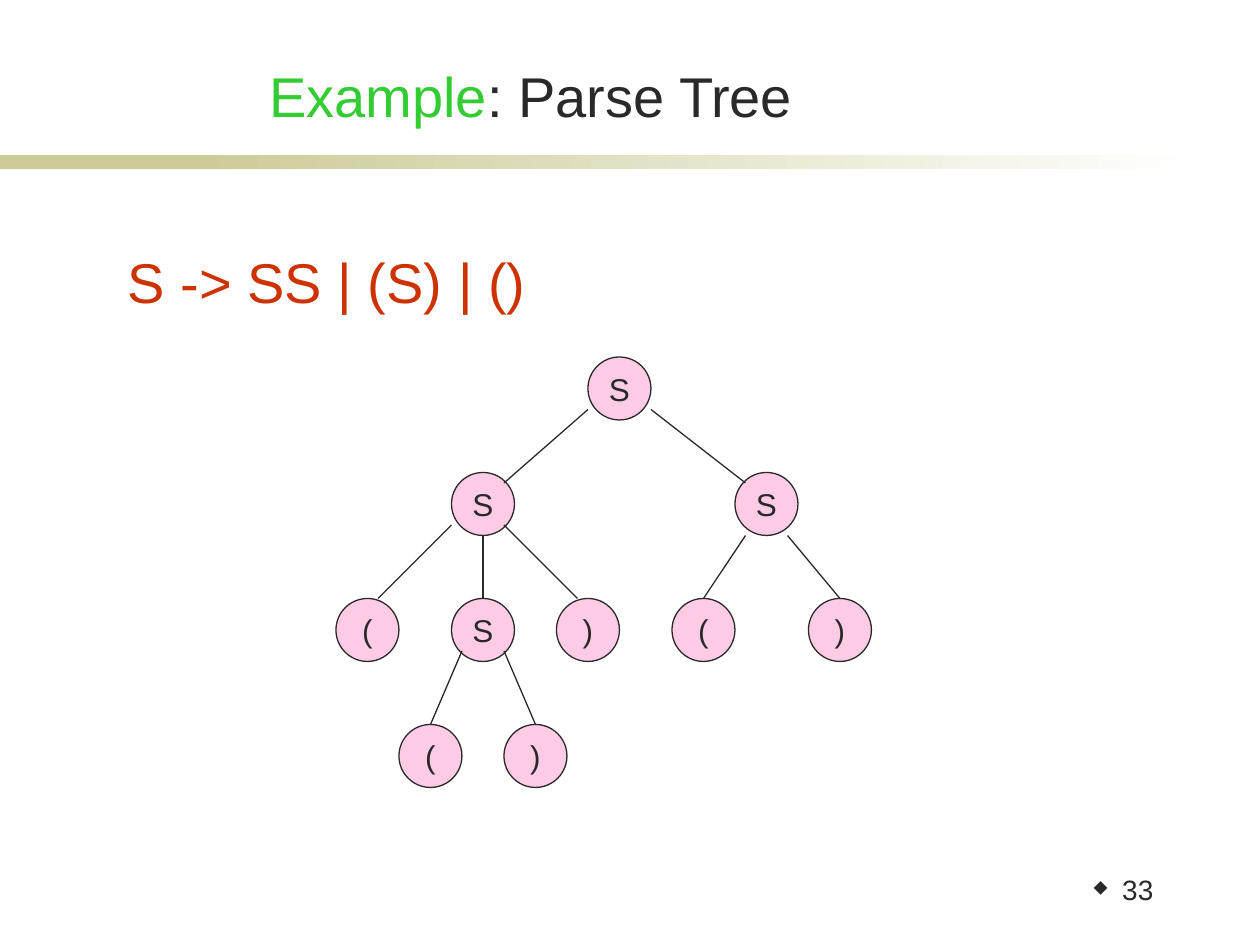
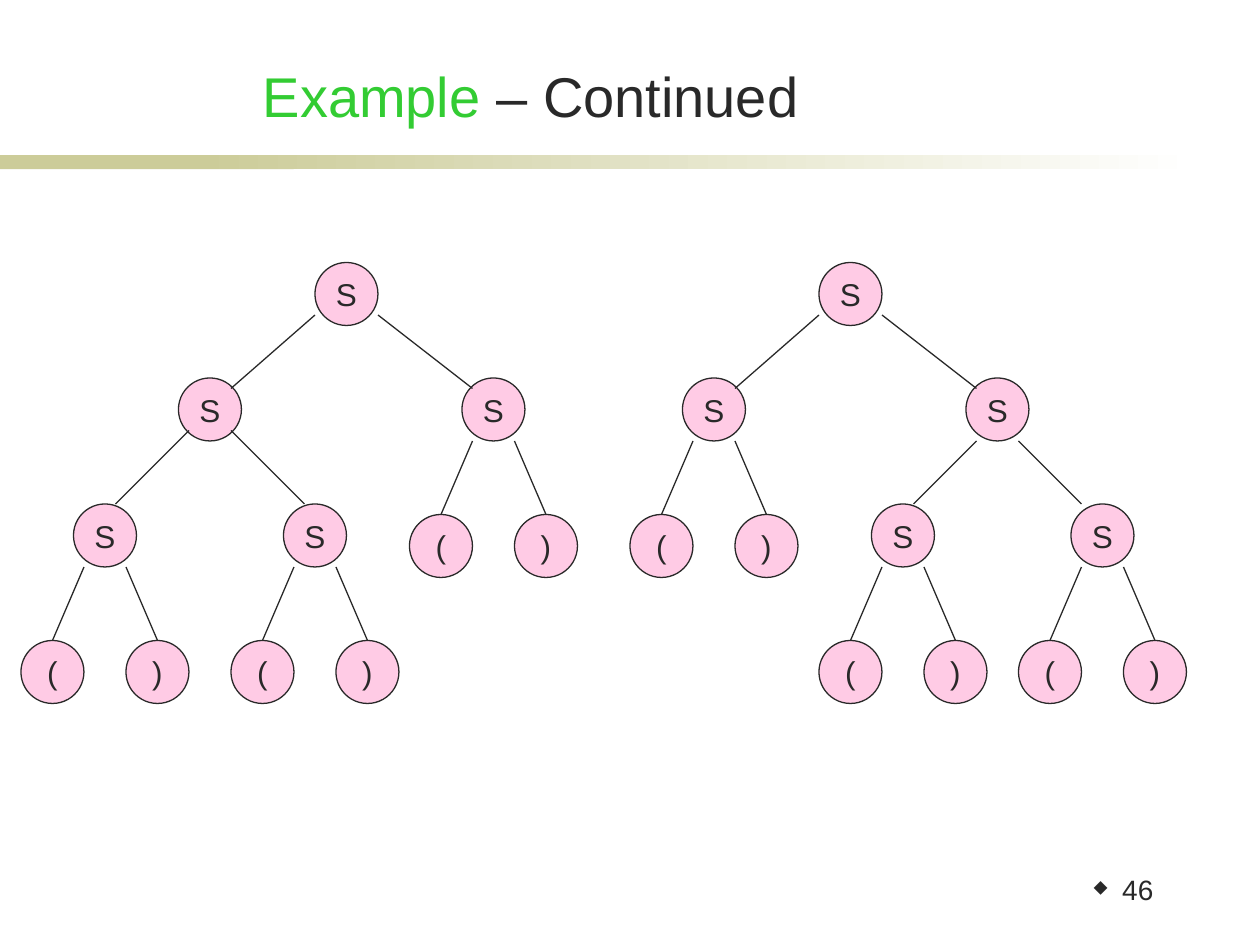
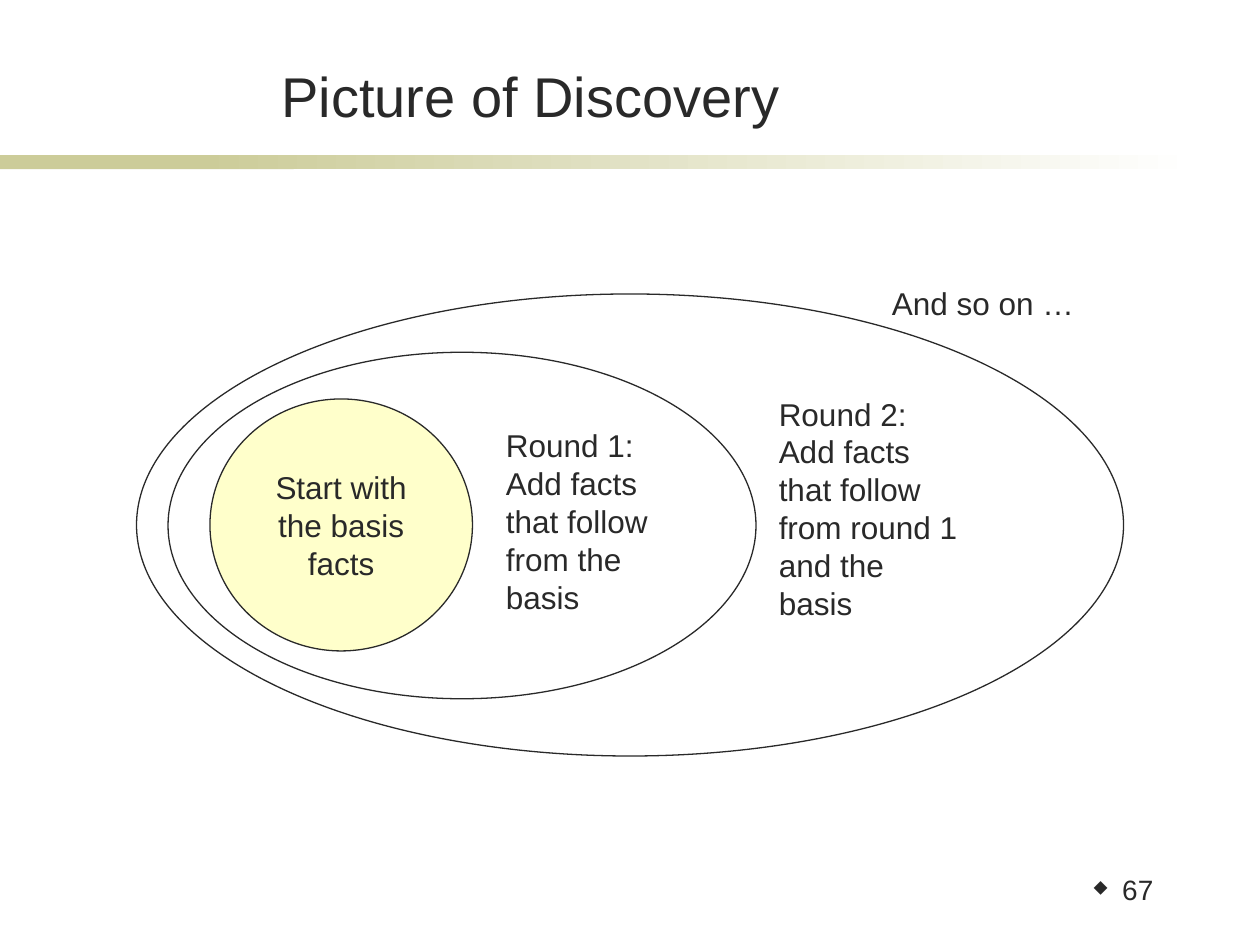
import dataclasses

import lxml.etree
import pptx
import pptx.dml.color
import pptx.enum.shapes
import pptx.enum.text
import pptx.oxml.ns
import pptx.util

Cm = pptx.util.Cm
Pt = pptx.util.Pt
qn = pptx.oxml.ns.qn
rgb = pptx.dml.color.RGBColor.from_string
Align = pptx.enum.text.PP_ALIGN
Anchor = pptx.enum.text.MSO_ANCHOR
Shape = pptx.enum.shapes.MSO_SHAPE


@dataclasses.dataclass(frozen=True)
class Theme:
    font: str = "Arial"
    bullet_font: str = "Wingdings"
    diamond: str = "u"
    ink: str = "292929"
    example: str = "33CC33"
    grammar: str = "CC3300"
    node: str = "FF99CC"
    basis: str = "FFFF99"
    band: str = "CCCC99"
    paper: str = "FFFFFF"
    title_size: int = 32
    body_size: int = 18
    number_size: int = 16
    line_width: float = 0.75


theme = Theme()
GRID = Cm(2.54) // 12
NODE = 6


def write(frame, text, size=theme.body_size, color=theme.ink, align=Align.LEFT,
          anchor=Anchor.TOP, wrap=True, lead="", bullet="", spacing=None):
    frame.auto_size = pptx.enum.text.MSO_AUTO_SIZE.NONE
    frame.word_wrap = wrap
    frame.vertical_anchor = anchor
    for index, line in enumerate(text.split("\n")):
        paragraph = frame.add_paragraph() if index else frame.paragraphs[0]
        paragraph.alignment = align
        if bullet:
            properties = paragraph._p.get_or_add_pPr()
            bullet_color = lxml.etree.SubElement(properties, qn("a:buClr"))
            lxml.etree.SubElement(bullet_color, qn("a:srgbClr"), val=color)
            lxml.etree.SubElement(properties, qn("a:buSzPct"), val="60000")
            lxml.etree.SubElement(properties, qn("a:buFont"), typeface=theme.bullet_font,
                                  pitchFamily="2", charset="2")
            lxml.etree.SubElement(properties, qn("a:buChar"), char=bullet)
        if spacing:
            paragraph.line_spacing = spacing
        for words, words_color in ((lead, theme.example), (line, color)):
            if words:
                run = paragraph.add_run()
                run.text = words
                run.font.name = theme.font
                run.font.size = Pt(size)
                run.font.color.rgb = rgb(words_color)


def add_ellipse(slide, left, top, width, height, text="", fill=None):
    ellipse = slide.shapes.add_shape(
        Shape.OVAL, *(int(n * GRID) for n in (left, top, width, height)))
    ellipse.shadow.inherit = False
    ellipse.line.color.rgb = rgb(theme.ink)
    ellipse.line.width = Pt(theme.line_width)
    if fill:
        ellipse.fill.solid()
        ellipse.fill.fore_color.rgb = rgb(fill)
        tint = ellipse._element.spPr.find(qn("a:solidFill")).find(qn("a:srgbClr"))
        lxml.etree.SubElement(tint, qn("a:alpha"), val="50000")
    else:
        ellipse.fill.background()
    if text:
        write(ellipse.text_frame, text, align=Align.CENTER,
              anchor=Anchor.MIDDLE, wrap=False)


BRANCHES = {
    "root": [("S", (-13, 11), (0, 5), (-8, 12)), ("S", (14, 11), (6, 5), (15, 12))],
    "split": [("S", (-10, 12), (1, 5), (-6, 12)), ("S", (10, 12), (5, 5), (12, 12))],
    "right split": [("S", (-9, 12), (1, 6), (-5, 12)), ("S", (10, 12), (5, 6), (11, 12))],
    "wrapped": [("(", (-11, 12), (0, 5), (-7, 12)), ("S", (0, 12), (3, 6), (3, 12)),
                (")", (10, 12), (5, 5), (12, 12))],
    "pair": [("(", (-5, 13), (1, 6), (-2, 13)), (")", (5, 13), (5, 6), (8, 13))],
    "close pair": [("(", (-5, 12), (1, 5), (-2, 12)), (")", (5, 12), (5, 5), (8, 12))],
    "wide pair": [("(", (-6, 12), (1, 6), (-3, 12)), (")", (7, 12), (5, 6), (10, 12))],
}

PAGES = [
    ("Example", ": Parse Tree", "33",
     [("root", 56, 34), ("wrapped", 43, 45), ("close pair", 43, 57),
      ("wide pair", 70, 45)]),
    ("Example", " – Continued", "46",
     [("root", 30, 25), ("split", 17, 36), ("pair", 7, 48), ("pair", 27, 48),
      ("pair", 44, 36),
      ("root", 78, 25), ("pair", 65, 36), ("right split", 92, 36),
      ("pair", 83, 48), ("pair", 102, 48)]),
    ("", "Picture of Discovery", "67", []),
]

presentation = pptx.Presentation()
presentation.slide_width = Cm(25.4)
presentation.slide_height = Cm(19.05)
title_only = presentation.slide_layouts[5]

for lead, title_text, number, branches in PAGES:
    slide = presentation.slides.add_slide(title_only)

    for left, width, fades in ((0, 5.92, False), (4.02, 20.11, True)):
        band = slide.shapes.add_shape(
            Shape.RECTANGLE, Cm(left), Cm(3.13), Cm(width), Cm(0.28))
        band.shadow.inherit = False
        band.line.fill.background()
        if fades:
            band.fill.gradient()
            band.fill.gradient_angle = 0
            for stop, position, color in zip(
                    band.fill.gradient_stops, (0, 1), (theme.band, theme.paper)):
                stop.position = position
                stop.color.rgb = rgb(color)
        else:
            band.fill.solid()
            band.fill.fore_color.rgb = rgb(theme.band)

    page_number = slide.shapes.add_textbox(Cm(20.9), Cm(17.55), Cm(2.6), Cm(1.27))
    write(page_number.text_frame, number, size=theme.number_size,
          align=Align.RIGHT, bullet=theme.diamond, spacing=0.9)

    title = slide.shapes.title
    title.left, title.top = Cm(2.9), Cm(1.12)
    title.width, title.height = Cm(15.6), Cm(1.6)
    write(title.text_frame, title_text, lead=lead, size=theme.title_size,
          align=Align.CENTER, anchor=Anchor.BOTTOM)

    for kind, x, y in branches:
        if kind == "root":
            add_ellipse(slide, x, y, NODE, NODE, "S", theme.node)
        for label, (dx, dy), start, end in BRANCHES[kind]:
            add_ellipse(slide, x + dx, y + dy, NODE, NODE, label, theme.node)
            edge = slide.shapes.add_connector(
                pptx.enum.shapes.MSO_CONNECTOR.STRAIGHT,
                (x + start[0]) * GRID, (y + start[1]) * GRID,
                (x + end[0]) * GRID, (y + end[1]) * GRID)
            edge.line.color.rgb = rgb(theme.ink)
            edge.line.width = Pt(theme.line_width)
            lxml.etree.SubElement(edge._element.spPr, qn("a:effectLst"))

parse_slide, continued_slide, discovery_slide = presentation.slides

grammar = parse_slide.shapes.add_textbox(Cm(2.33), Cm(4.87), Cm(8.97), Cm(1.6))
write(grammar.text_frame, "S -> SS | (S) | ()", size=theme.title_size,
      color=theme.grammar)

add_ellipse(discovery_slide, 20, 38, 25, 24,
            "Start with\nthe basis\nfacts", theme.basis)
add_ellipse(discovery_slide, 16, 33.55, 56, 33)
add_ellipse(discovery_slide, 13, 28, 94, 44)

for left, top, width, height, text in (
        (9.95, 8.47, 4.47, 5.33, "Round 1:\nAdd facts\nthat follow\nfrom the\nbasis"),
        (15.45, 7.83, 5.41, 6.35,
         "Round 2:\nAdd facts\nthat follow\nfrom round 1\nand the\nbasis"),
        (17.73, 5.6, 5.21, 1.27, "And so on …")):
    round_note = discovery_slide.shapes.add_textbox(
        Cm(left), Cm(top), Cm(width), Cm(height))
    write(round_note.text_frame, text)

presentation.save("out.pptx")
